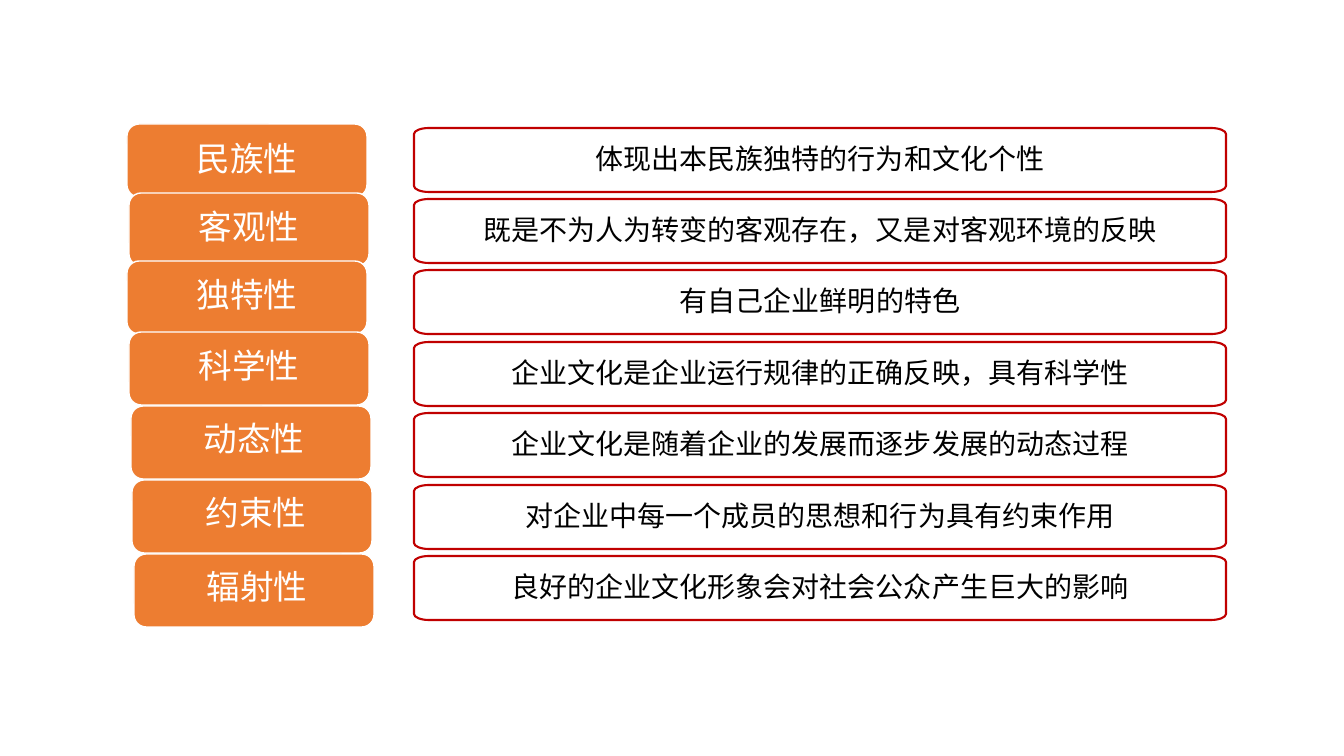
from lxml.etree import SubElement
from pptx import Presentation
from pptx.dml.color import RGBColor
from pptx.enum.shapes import MSO_SHAPE as Preset
from pptx.enum.text import MSO_ANCHOR as Anchor, PP_ALIGN as Align
from pptx.oxml.ns import qn
from pptx.util import Emu, Pt

EMU_PER_PX = 12192000 / 1344
FONT = "Noto Sans CJK JP"
COLORS = {"label": "ED7D31", "frame": "C00000", "white": "FFFFFF", "text": "000000"}

# label, description, label left, label top, offset of the label text
TRAITS = [
    ("民族性", "体现出本民族独特的行为和文化个性", 127, 124, (7, 4)),
    ("客观性", "既是不为人为转变的客观存在，又是对客观环境的反映", 129, 193, (7, 3)),
    ("独特性", "有自己企业鲜明的特色", 127, 261, (7, 3)),
    ("科学性", "企业文化是企业运行规律的正确反映，具有科学性", 129, 332, (7, 3)),
    ("动态性", "企业文化是随着企业的发展而逐步发展的动态过程", 131, 406, (10, 2)),
    ("约束性", "对企业中每一个成员的思想和行为具有约束作用", 132, 480, (11, 2)),
    ("辐射性", "良好的企业文化形象会对社会公众产生巨大的影响", 134, 554, (10, 2)),
]
LABEL_SIZE = (240, 73)
LABEL_TEXT_SIZE = (226, 66)
FRAME_LEFT, FRAME_TOP, FRAME_PITCH = 414, 128, 71.4
FRAME_SIZE = (812, 64)
CORNER = (15, 6)
CURVE_PULL = 0.55


def px(length):
    return Emu(round(length * EMU_PER_PX))


def color(name):
    return RGBColor.from_string(COLORS[name])


def set_attributes(target, values):
    for name, value in values.items():
        setattr(target, name, value)


def outline(shape, color_name, width):
    shape.line.color.rgb = color(color_name)
    shape.line.width = Pt(width)
    shape.shadow.inherit = False


def write(shape, wording, size, color_name, inset):
    frame = shape.text_frame
    sides = ("left", "top", "right", "bottom")
    set_attributes(frame, {f"margin_{side}": px(inset) for side in sides})
    set_attributes(frame, {"word_wrap": True, "vertical_anchor": Anchor.MIDDLE})
    paragraph = frame.paragraphs[0]
    set_attributes(paragraph, {"alignment": Align.CENTER, "line_spacing": 0.9,
                               "space_after": Pt(0)})
    after = paragraph._p.pPr.find(qn("a:spcAft"))
    after.clear()
    SubElement(after, qn("a:spcPct"), val="35000")
    run = paragraph.add_run()
    run.text = wording
    set_attributes(run.font, {"name": FONT, "size": Pt(size)})
    run.font.color.rgb = color(color_name)
    SubElement(run._r.get_or_add_rPr(), qn("a:ea"), typeface=FONT)


def bevelled_outline(left, top, width, height):
    """Return the corner ends, clockwise from the left side's upper end."""
    rx, ry = CORNER
    right, bottom = left + width, top + height
    return [(left, top + ry), (left + rx, top), (right - rx, top), (right, top + ry),
            (right, bottom - ry), (right - rx, bottom), (left + rx, bottom),
            (left, bottom - ry), (left, top + ry)]


def round_corners(shape):
    """Turn every second line, which cuts a corner, into a curve."""
    geometry = shape._element.spPr.find(qn("a:custGeom"))
    points = [(int(pt.get("x")), int(pt.get("y"))) for pt in geometry.iter(qn("a:pt"))]
    cuts = list(geometry.iter(qn("a:lnTo")))[::2]
    for index, cut in enumerate(cuts):
        start, end = points[2 * index:2 * index + 2]
        corner = (end[0], start[1]) if index % 2 else (start[0], end[1])
        curve = cut.makeelement(qn("a:cubicBezTo"))
        controls = [tuple(round(a + (c - a) * CURVE_PULL) for a, c in zip(anchor, corner))
                    for anchor in (start, end)]
        for x, y in (*controls, end):
            SubElement(curve, qn("a:pt"), x=str(x), y=str(y))
        cut.getparent().replace(cut, curve)


def add_description(slide, wording, top):
    start, *others = [(px(x), px(y))
                      for x, y in bevelled_outline(FRAME_LEFT, top, *FRAME_SIZE)]
    builder = slide.shapes.build_freeform(*start)
    builder.add_line_segments(others[:-1], close=True)
    description = builder.convert_to_shape()
    round_corners(description)
    description.fill.background()
    outline(description, "frame", 1.5)
    write(description, wording, 20, "text", 3)


def add_label(slide, wording, left, top, offset):
    group = slide.shapes.add_group_shape()
    plate = group.shapes.add_shape(Preset.ROUNDED_RECTANGLE,
                                   *map(px, (left, top, *LABEL_SIZE)))
    plate.fill.solid()
    plate.fill.fore_color.rgb = color("label")
    outline(plate, "white", 1)
    dx, dy = offset
    caption = group.shapes.add_textbox(*map(px, (left + dx, top + dy, *LABEL_TEXT_SIZE)))
    write(caption, wording, 24, "white", 10)


def main():
    deck = Presentation()
    set_attributes(deck, {"slide_width": px(1344), "slide_height": px(756)})
    slide = deck.slides.add_slide(deck.slide_layouts[6])
    for row, (label, description, left, top, offset) in enumerate(TRAITS):
        add_description(slide, description, int(FRAME_TOP + row * FRAME_PITCH))
        add_label(slide, label, left, top, offset)
    deck.save("out.pptx")


if __name__ == "__main__":
    main()
